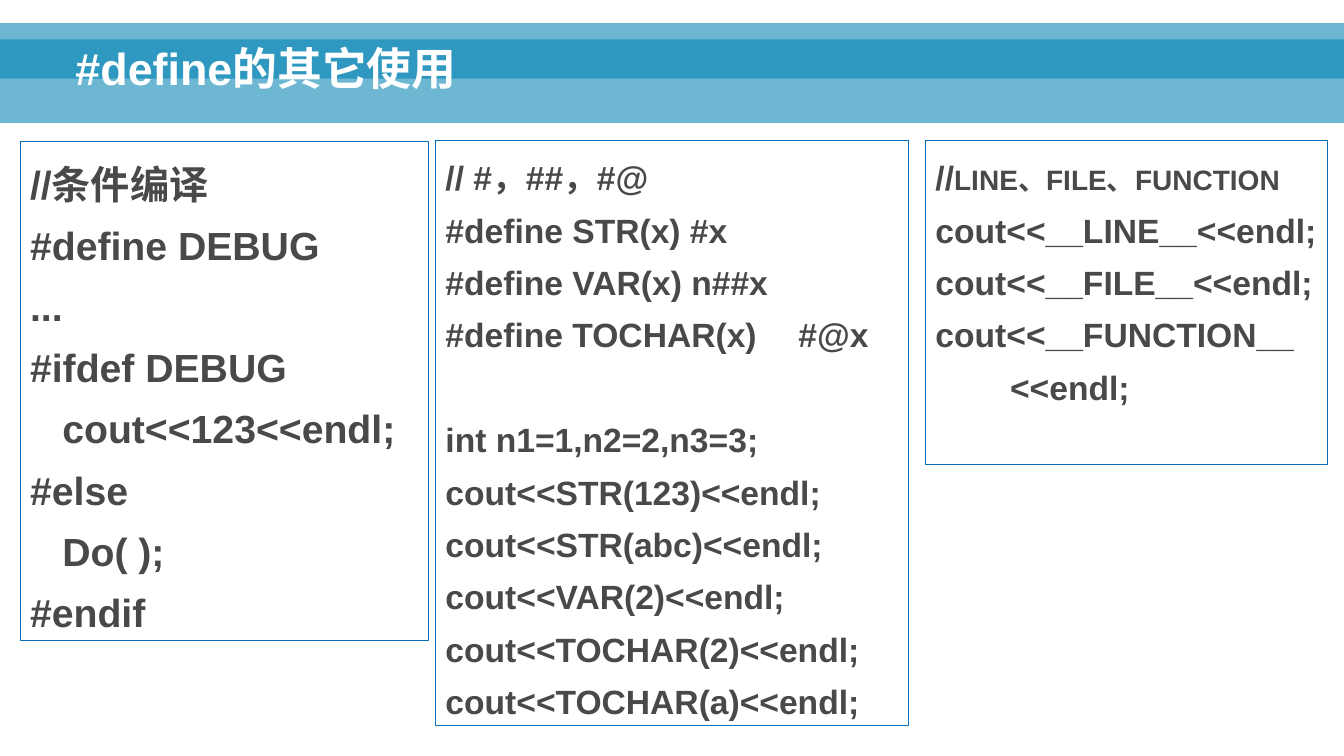
from dataclasses import dataclass

from lxml import etree
from pptx import Presentation
from pptx.dml.color import RGBColor
from pptx.enum.shapes import MSO_SHAPE
from pptx.enum.text import MSO_ANCHOR, PP_ALIGN
from pptx.oxml.ns import qn
from pptx.util import Inches, Pt

RECTANGLE = MSO_SHAPE.RECTANGLE
TOP, BOTTOM = MSO_ANCHOR.TOP, MSO_ANCHOR.BOTTOM
LEFT = PP_ALIGN.LEFT


@dataclass(frozen=True)
class Theme:
    font: str = "Arial"
    band: RGBColor = RGBColor(0x00, 0x82, 0xB3)
    band_alpha: int = 57000
    title: RGBColor = RGBColor(0xFF, 0xFF, 0xFF)
    code: RGBColor = RGBColor(0x47, 0x49, 0x4B)
    border: RGBColor = RGBColor(0x04, 0x6F, 0xB6)
    border_alt: RGBColor = RGBColor(0x00, 0x70, 0xC0)
    border_width: float = 0.75
    title_size: int = 32
    large: int = 28
    medium: int = 24
    small: int = 20
    line_spacing: float = 1.3
    blank_line: float = 37.4


@dataclass(frozen=True)
class CodeLine:
    text: str
    indent: float = 0
    hanging: float = 0
    tab_stop: float = 0
    gap_before: float = 0
    tail: str = ""


THEME = Theme()

CONDITIONAL = [
    CodeLine("//条件编译"),
    CodeLine("#define DEBUG"),
    CodeLine("..."),
    CodeLine("#ifdef DEBUG"),
    CodeLine("cout<<123<<endl;", indent=0.32),
    CodeLine("#else"),
    CodeLine("Do( );", indent=0.32),
    CodeLine("#endif"),
]
OPERATORS = [
    CodeLine("// #，##，#@"),
    CodeLine("#define STR(x) #x"),
    CodeLine("#define VAR(x) n##x"),
    CodeLine("#define TOCHAR(x)\t#@x", tab_stop=3.27),
    CodeLine("int n1=1,n2=2,n3=3;", gap_before=THEME.blank_line),
    CodeLine("cout<<STR(123)<<endl;"),
    CodeLine("cout<<STR(abc)<<endl;"),
    CodeLine("cout<<VAR(2)<<endl;"),
    CodeLine("cout<<TOCHAR(2)<<endl;"),
    CodeLine("cout<<TOCHAR(a)<<endl;"),
]
MACROS = [
    CodeLine("//", tail="LINE、FILE、FUNCTION"),
    CodeLine("cout<<__LINE__<<endl;"),
    CodeLine("cout<<__FILE__<<endl;"),
    CodeLine("cout<<__FUNCTION__\v<<endl;", hanging=0.74),
]


def add_rectangle(slide, left, top, width, height):
    rectangle = slide.shapes.add_shape(
        RECTANGLE, Inches(left), Inches(top), Inches(width), Inches(height))
    rectangle.shadow.inherit = False
    return rectangle


def add_band(slide, top, height):
    band = add_rectangle(slide, 0, top, 13.33, height)
    band.fill.solid()
    band.fill.fore_color.rgb = THEME.band
    band.line.fill.background()
    color = band.fill._xPr.find(qn("a:solidFill"))[0]
    etree.SubElement(color, qn("a:alpha"), val=str(THEME.band_alpha))


def style_paragraph(paragraph, size, color, spacing):
    paragraph.alignment = LEFT
    paragraph.line_spacing = spacing
    font = paragraph.font
    font.name = THEME.font
    font.size = Pt(size)
    font.bold = True
    font.color.rgb = color


def add_title(slide, text):
    title = slide.shapes.add_textbox(
        Inches(0.65), Inches(0.12), Inches(11.98), Inches(0.87))
    frame = title.text_frame
    frame.word_wrap = True
    frame.vertical_anchor = BOTTOM
    frame.text = text
    style_paragraph(frame.paragraphs[0], THEME.title_size, THEME.title, 0.9)


def indent_paragraph(paragraph, line):
    properties = paragraph._p.get_or_add_pPr()
    properties.set("marL", str(Inches(line.indent + line.hanging)))
    properties.set("indent", str(Inches(-line.hanging)))
    if line.tab_stop:
        tabs = etree.Element(qn("a:tabLst"))
        etree.SubElement(tabs, qn("a:tab"), pos=str(Inches(line.tab_stop)), algn="l")
        properties.find(qn("a:defRPr")).addprevious(tabs)


def add_code_box(slide, place, lines, size, border):
    box = add_rectangle(slide, *place)
    box.fill.background()
    box.line.color.rgb = border
    box.line.width = Pt(THEME.border_width)
    frame = box.text_frame
    frame.word_wrap = True
    frame.vertical_anchor = TOP
    for index, line in enumerate(lines):
        paragraph = frame.add_paragraph() if index else frame.paragraphs[0]
        paragraph.text = line.text
        style_paragraph(paragraph, size, THEME.code, THEME.line_spacing)
        if line.gap_before:
            paragraph.space_before = Pt(line.gap_before)
        if line.tail:
            tail = paragraph.add_run()
            tail.text = line.tail
            tail.font.size = Pt(THEME.small)
        indent_paragraph(paragraph, line)


def main():
    presentation = Presentation()
    presentation.slide_width = Inches(13.33)
    presentation.slide_height = Inches(7.5)
    slide = presentation.slides.add_slide(presentation.slide_layouts[6])
    add_band(slide, 0.39, 0.83)
    add_band(slide, 0.23, 0.55)
    add_title(slide, "#define的其它使用")
    add_code_box(slide, (0.2, 1.4, 4.05, 4.95), CONDITIONAL, THEME.large, THEME.border)
    add_code_box(slide, (4.32, 1.39, 4.69, 5.81), OPERATORS, THEME.medium, THEME.border_alt)
    add_code_box(slide, (9.18, 1.39, 3.99, 3.22), MACROS, THEME.medium, THEME.border)
    presentation.save("out.pptx")


if __name__ == "__main__":
    main()
